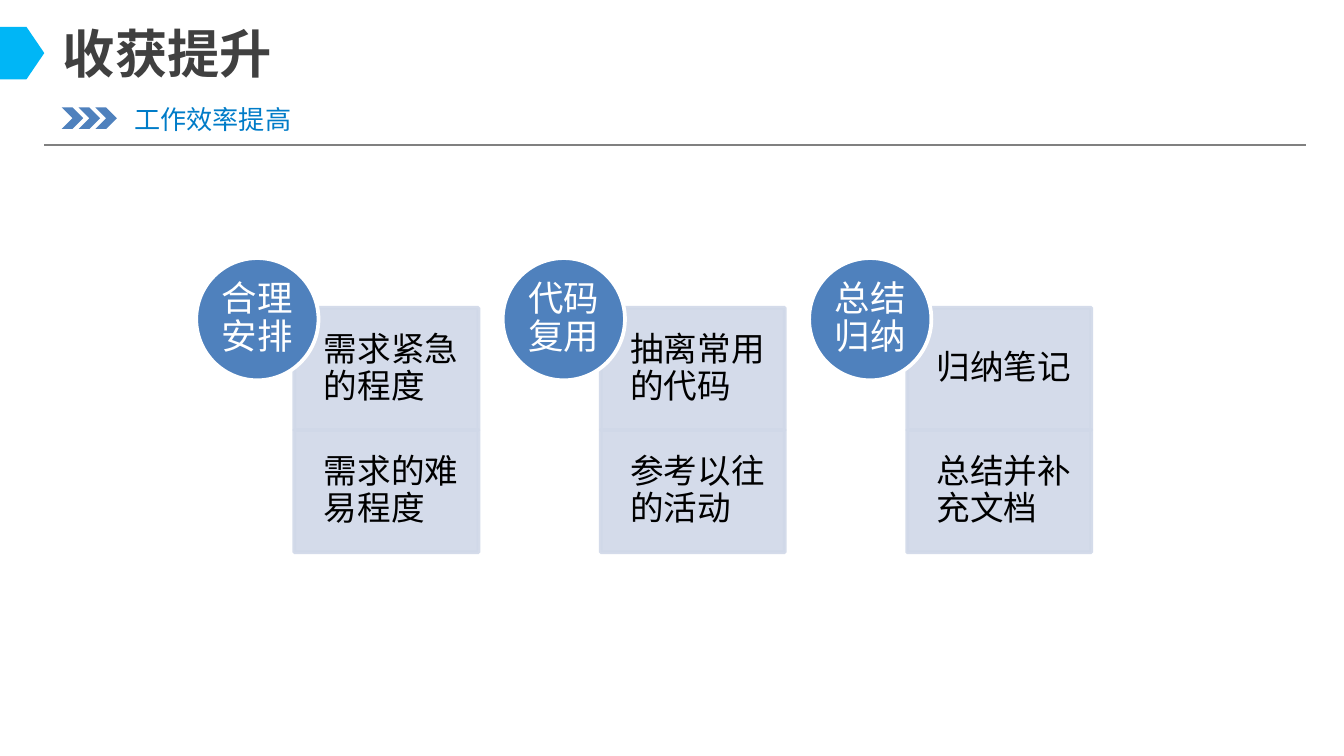
from pptx import Presentation
from pptx.dml.color import RGBColor
from pptx.enum.shapes import MSO_CONNECTOR as Wire, MSO_SHAPE as Kind
from pptx.enum.text import MSO_ANCHOR as Anchor, MSO_AUTO_SIZE as Fit, PP_ALIGN as Align
from pptx.oxml.ns import qn
from pptx.util import Inches, Pt
from lxml.etree import SubElement

CYAN = RGBColor(0x00, 0xB6, 0xF6)
BLUE = RGBColor(0x4F, 0x81, 0xBD)
LINK = RGBColor(0x00, 0x7C, 0xC8)
PALE = RGBColor(0xD0, 0xD8, 0xE8)
DARK = RGBColor(0x40, 0x40, 0x40)
GRAY = RGBColor(0x80, 0x80, 0x80)
WHITE = RGBColor(0xFF, 0xFF, 0xFF)
BLACK = RGBColor(0x00, 0x00, 0x00)

HEAD_FONT = "Noto Sans CJK SC"
BODY_FONT = "Calibri"

WIDTH = Inches(10)
HEIGHT = WIDTH * 9 // 16

LEFT, TOP = 1.46, 1.92   # first circle
PITCH = 2.28             # from one column to the next
CELL = 0.91              # circle diameter and card height
CARD_DX, CARD_DY, CARD_W = 0.73, 0.37, 1.37

COLUMNS = [
    ("合理安排", ["需求紧急的程度", "需求的难易程度"]),
    ("代码复用", ["抽离常用的代码", "参考以往的活动"]),
    ("总结归纳", ["归纳笔记", "总结并补充文档"]),
]


def add_shape(slide, kind, box, fill, line=None):
    shape = slide.shapes.add_shape(kind, *map(Inches, box))
    shape.shadow.inherit = False
    shape.fill.solid()
    shape.fill.fore_color.rgb = fill
    if line is None:
        shape.line.fill.background()
    else:
        shape.line.color.rgb = line
        shape.line.width = Pt(2)
    return shape


def fade(shape, share):
    """Set the opacity of a shape's fill and line, in percent."""
    for clr in shape._element.spPr.iter(qn("a:srgbClr")):
        SubElement(clr, qn("a:alpha"), val=str(share * 1000))


def style(para, font, size, color, bold=False):
    for run in para.runs:
        run.font.name = font
        run.font.size = Pt(size)
        run.font.color.rgb = color
        run.font.bold = bold


def fill_text(shape, text, size, color, align, insets):
    """Put wrapped, vertically centred text inside a shape."""
    frame = shape.text_frame
    frame.word_wrap = True
    frame.vertical_anchor = Anchor.MIDDLE
    (frame.margin_left, frame.margin_top,
     frame.margin_right, frame.margin_bottom) = map(Inches, insets)
    para = frame.paragraphs[0]
    para.text = text
    para.alignment = align
    para.line_spacing = 0.9
    para.space_after = Pt(0.35 * size)
    style(para, BODY_FONT, size, color)


def add_label(slide, box, text, size, color, bold=False):
    """Add a one-line heading with its East Asian font set."""
    frame = slide.shapes.add_textbox(*map(Inches, box)).text_frame
    frame.word_wrap = False
    frame.auto_size = Fit.SHAPE_TO_FIT_TEXT
    para = frame.paragraphs[0]
    para.text = text
    style(para, HEAD_FONT, size, color, bold)
    for run in para.runs:
        SubElement(run.font._element, qn("a:ea"), typeface=HEAD_FONT)


def add_rule(slide, left, right, y):
    rule = slide.shapes.add_connector(
        Wire.STRAIGHT, Inches(left), Inches(y), Inches(right), Inches(y))
    rule.line.color.rgb = GRAY
    rule.line.width = Pt(0.75)
    SubElement(rule._element.spPr, qn("a:effectLst"))


def add_header(slide):
    add_label(slide, (0.37, 0.11, 1.77, 0.57), "收获提升", 28, DARK, True)
    tab = add_shape(slide, Kind.CHEVRON, (-0.2, 0.2, 0.53, 0.39), CYAN)
    tab.adjustments[0] = 0.34
    for i in range(3):
        add_shape(slide, Kind.CHEVRON, (0.46 + 0.25 * i / 2, 0.8, 0.16, 0.16), BLUE)
    add_label(slide, (0.9, 0.72, 1.38, 0.34), "工作效率提高", 14, LINK)
    add_rule(slide, 0.33, 9.72, 1.08)


def add_column(slide, col, title, cards):
    """Stack the cards and overlap their corner with the title circle."""
    x = LEFT + col * PITCH
    for row, text in enumerate(cards):
        box = (x + CARD_DX, TOP + CARD_DY + row * CELL, CARD_W, CELL)
        card = add_shape(slide, Kind.RECTANGLE, box, PALE, PALE)
        fade(card, 90)
        fill_text(card, text, 18, BLACK, Align.LEFT, (0.22, 0.14, 0.13, 0.14))
    disc = add_shape(slide, Kind.OVAL, (x, TOP, CELL, CELL), BLUE, WHITE)
    fill_text(disc, title, 19, WHITE, Align.CENTER, (0, 0, 0, 0))


def main():
    deck = Presentation()
    deck.slide_width, deck.slide_height = WIDTH, HEIGHT
    slide = deck.slides.add_slide(deck.slide_layouts[6])
    add_header(slide)
    for col, (title, cards) in enumerate(COLUMNS):
        add_column(slide, col, title, cards)
    deck.save("out.pptx")


if __name__ == "__main__":
    main()
